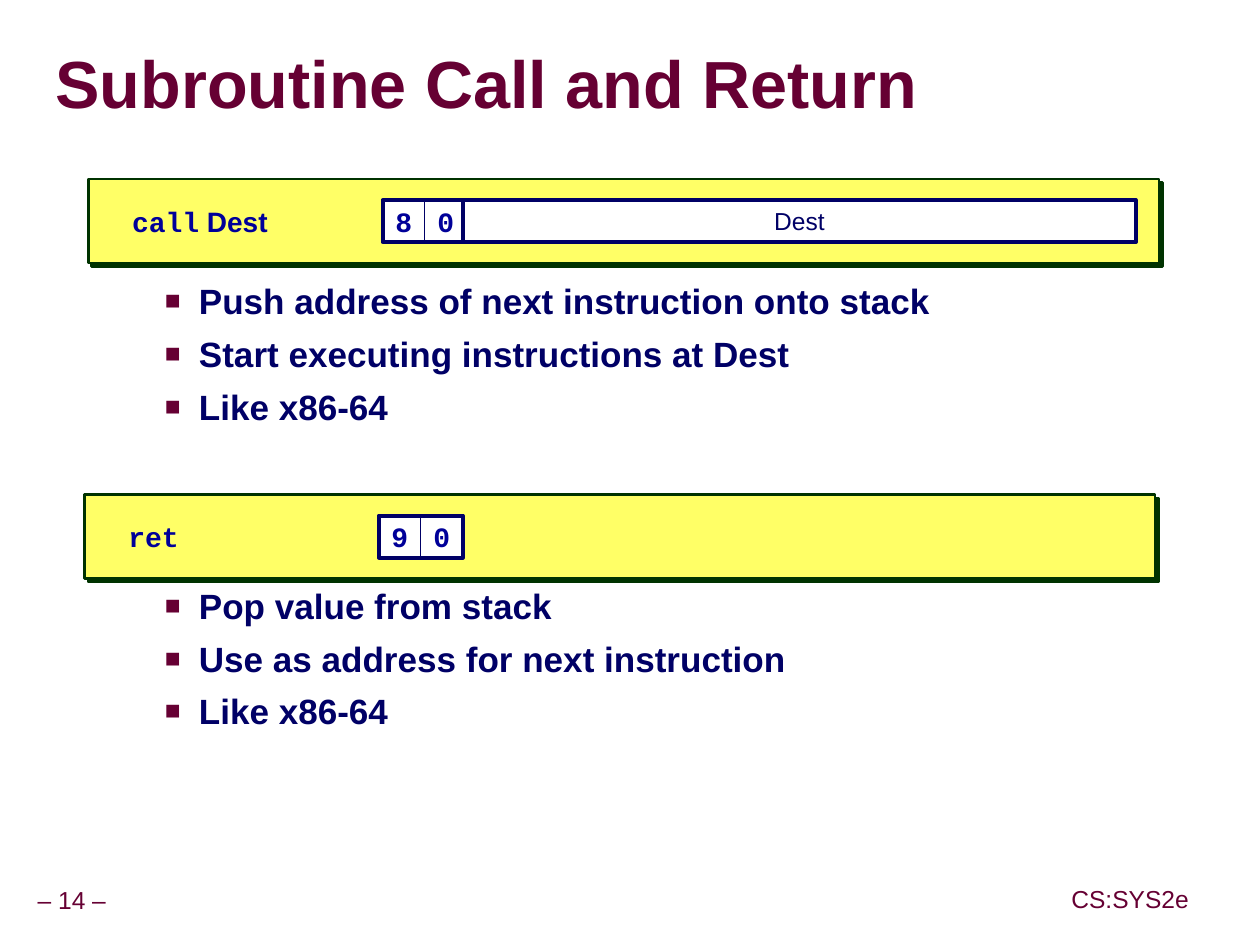
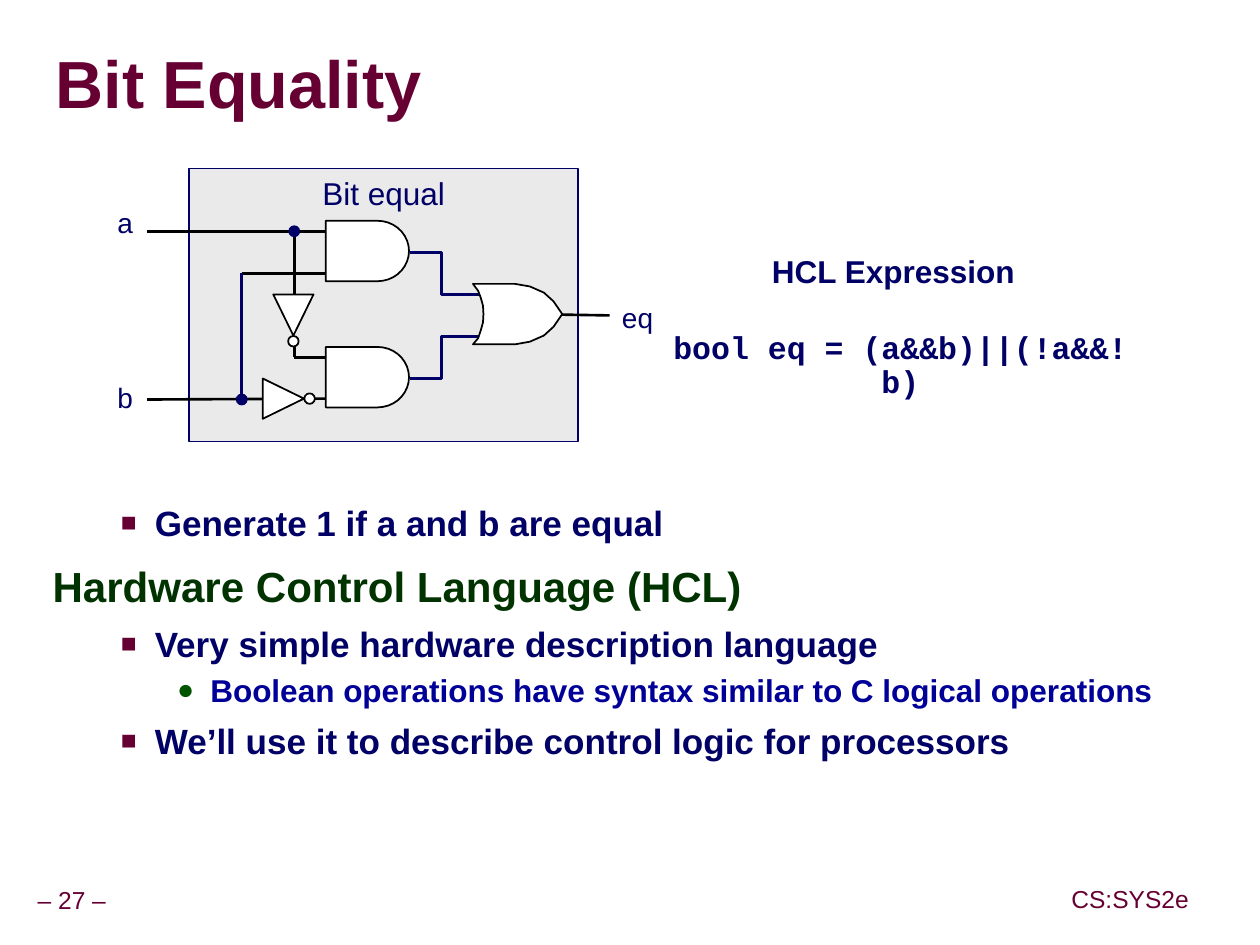
import math

import pptx
import pptx.dml.color
import pptx.enum.shapes
import pptx.enum.text
import pptx.oxml
import pptx.oxml.ns
import pptx.util

Pt = pptx.util.Pt
ALIGN = pptx.enum.text.PP_ALIGN
ANCHOR = pptx.enum.text.MSO_ANCHOR
SHAPE = pptx.enum.shapes.MSO_SHAPE
qn = pptx.oxml.ns.qn

NAVY, BLUE, MAROON, GREEN = "000066", "000099", "660033", "003300"
BLACK, WHITE, YELLOW, GRAY = "000000", "FFFFFF", "FFFF66", "EAEAEA"
SANS = {"name": "Arial", "size": Pt(16), "bold": False}
CODE = {"name": "Courier New", "size": Pt(16), "bold": True}
INSETS = ("margin_left", "margin_top", "margin_right", "margin_bottom")
LEVELS = [
    {"size": 24, "color": GREEN, "indent": (30, -30), "before": 12, "spacing": 0.95, "bullet": None},
    {"size": 20, "color": NAVY, "indent": (58.3, -19.4), "before": 6, "spacing": 1.0,
     "bullet": ("■", MAROON, 75)},
    {"size": 18, "color": BLUE, "indent": (90, -19), "before": 2, "spacing": 1.07,
     "bullet": ("●", "005400", 90)},
]
OR_OUTLINE = [(0, 0), (24, 0), (32.5, 1.5), (40.5, 5), (46, 10), (51, 17.25), (46, 24.5),
              (40.5, 29.5), (32.5, 33), (24, 34.5), (0, 34.5), (3, 31), (4.5, 26.5),
              (5.75, 22), (6, 17.25), (5.75, 12.5), (4.5, 8), (3, 4)]


def rgb(color):
    """Turn a hex string into a colour."""
    return pptx.dml.color.RGBColor.from_string(color)


def set_all(obj, values):
    """Set attributes of an object from a dict."""
    for name, value in values.items():
        setattr(obj, name, value)


def add_xml(parent, tag, body="", **attrs):
    """Append a drawing element with the given attributes."""
    pairs = " ".join(f'{k}="{v}"' for k, v in attrs.items())
    ns = pptx.oxml.ns.nsdecls("a")
    parent.append(pptx.oxml.parse_xml(f"<a:{tag} {ns} {pairs}>{body}</a:{tag}>"))


def add_run(p, text, font, color):
    """Add a formatted run to a paragraph."""
    r = p.add_run()
    r.text = text
    set_all(r.font, font)
    r.font.color.rgb = rgb(color)
    return r


def write(sp, runs, color, align=ALIGN.LEFT, anchor=ANCHOR.TOP, wrap=False, inset=None, spacing=1.0):
    """Write one paragraph of (text, font) runs into a shape."""
    tf = sp.text_frame
    set_all(tf, {"word_wrap": wrap, "vertical_anchor": anchor})
    if inset is not None:
        set_all(tf, dict.fromkeys(INSETS, Pt(inset)))
    p = tf.paragraphs[0]
    set_all(p, {"alignment": align, "line_spacing": spacing})
    return [add_run(p, text, font, color) for text, font in runs]


def add_text(slide, box, runs, color, **layout):
    """Add a text box with one paragraph."""
    sp = slide.shapes.add_textbox(*map(Pt, box))
    write(sp, runs, color, **layout)


def paint(sp, fill, line, width):
    """Set fill and line of a shape and drop its shadow."""
    sp.shadow.inherit = False
    if fill:
        sp.fill.solid()
        sp.fill.fore_color.rgb = rgb(fill)
    else:
        sp.fill.background()
    sp.line.color.rgb = rgb(line)
    sp.line.width = Pt(width)


def add_box(slide, box, fill, line, width, kind=SHAPE.RECTANGLE):
    """Add a preset shape."""
    sp = slide.shapes.add_shape(kind, *map(Pt, box))
    paint(sp, fill, line, width)
    return sp


def add_outline(slide, points, fill=WHITE, line=BLACK, width=1.0, close=True):
    """Add a freeform through points."""
    emu = [(Pt(x), Pt(y)) for x, y in points]
    builder = slide.shapes.build_freeform(*emu[0], scale=1.0)
    builder.add_line_segments(emu[1:], close=close)
    paint(builder.convert_to_shape(), fill, line, width)


def add_wire(slide, x1, y1, x2, y2, color=BLACK):
    """Add a straight wire."""
    sp = slide.shapes.add_connector(pptx.enum.shapes.MSO_CONNECTOR.STRAIGHT, *map(Pt, (x1, y1, x2, y2)))
    sp.line.color.rgb = rgb(color)
    sp.line.width = Pt(1.5)
    add_xml(sp._element.spPr, "effectLst")


def add_circle(slide, x, y, fill, line, width):
    """Add a small circle around a centre."""
    add_box(slide, (x - 3, y - 3, 6, 6), fill, line, width, SHAPE.OVAL)


def add_and_gate(slide, x, y):
    """Add an AND gate with its top left corner at x, y."""
    angles = [math.radians(a) for a in range(-90, 91, 10)]
    arc = [(x + 29.5 + 18 * math.cos(a), y + 17.25 + 17.25 * math.sin(a)) for a in angles]
    add_outline(slide, [(x, y), *arc, (x, y + 34.5)])


def add_inverter(slide, x, y, down=False):
    """Add an inverter whose base is centred at x, y."""
    def place(along, across):
        return (x + across, y + along) if down else (x + along, y + across)

    add_outline(slide, [place(0, -11.5), place(23.5, 0), place(0, 11.5)])
    add_circle(slide, *place(26.75, 0), WHITE, BLACK, 1)


def add_bullets(slide, box, items):
    """Add an outline of (level, text) items."""
    tf = slide.shapes.add_textbox(*map(Pt, box)).text_frame
    tf.word_wrap = True
    for i, (level, text) in enumerate(items):
        style = LEVELS[level]
        p = tf.add_paragraph() if i else tf.paragraphs[0]
        set_all(p, {"level": level, "space_before": Pt(style["before"]), "line_spacing": style["spacing"]})
        pPr = p._p.get_or_add_pPr()
        for name, value in zip(("marL", "indent"), style["indent"]):
            pPr.set(name, str(Pt(value)))
        if style["bullet"]:
            char, color, percent = style["bullet"]
            add_xml(pPr, "buClr", f'<a:srgbClr val="{color}"/>')
            add_xml(pPr, "buSzPct", val=percent * 1000)
            add_xml(pPr, "buFont", typeface="Arial")
            add_xml(pPr, "buChar", char=char)
        add_run(p, text, {"name": "Arial", "size": Pt(style["size"]), "bold": True}, style["color"])


def add_slide(prs, title, number):
    """Add a slide with the shared title and footers."""
    slide = prs.slides.add_slide(prs.slide_layouts[5])
    sp = slide.shapes.title
    set_all(sp, {"left": Pt(31.7), "top": Pt(19.4), "width": Pt(685.4), "height": Pt(61.2)})
    font = {"name": "Arial", "size": Pt(38), "bold": True}
    r, = write(sp, [(title, font)], MAROON, anchor=ANCHOR.MIDDLE, wrap=True, inset=0, spacing=0.87)
    shadow = '<a:outerShdw dist="38100" dir="2700000"><a:srgbClr val="999999"/></a:outerShdw>'
    r.font.fill._xPr.find(qn("a:solidFill")).addnext(
        pptx.oxml.parse_xml(f'<a:effectLst {pptx.oxml.ns.nsdecls("a")}>{shadow}</a:effectLst>'))
    for box, text in [((17.3, 503.3, 47.5, 22.3), f"– {number} –"), ((607.7, 502.6, 75, 22.3), "CS:SYS2e")]:
        add_text(slide, box, [(text, {**SANS, "size": Pt(14)})], MAROON, align=ALIGN.CENTER,
                 anchor=ANCHOR.MIDDLE, inset=3.6, spacing=0.9)
    return slide


def add_instruction(slide, x, y, label, digits, operand=None):
    """Add a yellow bar with an instruction and its encoding."""
    middle = {"align": ALIGN.CENTER, "anchor": ANCHOR.MIDDLE}
    bar = add_box(slide, (x, y, 611.3, 48), YELLOW, GREEN, 1.5)
    add_xml(bar._element.spPr.find(qn("a:effectLst")), "outerShdw", f'<a:srgbClr val="{GREEN}"/>',
            blurRad=0, dist=Pt(2.8), dir=2700000, algn="ctr", rotWithShape=0)
    add_text(slide, (x + 18, y + 12, 150, 24), label, BLUE, anchor=ANCHOR.MIDDLE)
    for i, digit in enumerate(digits):
        cell = add_box(slide, (x + 168 + 24 * i, y + 12, 24, 24), WHITE, NAVY, 0.5)
        write(cell, [(digit, CODE)], BLUE, **middle)
    add_box(slide, (x + 168, y + 12, 24 * len(digits), 24), None, NAVY, 2.25)
    if operand:
        sp = add_box(slide, (x + 214, y + 12, 384, 24), WHITE, NAVY, 2.25)
        write(sp, [(operand, {**SANS, "size": Pt(14)})], NAVY, **middle)


def build_call_slide(prs):
    """Build the slide on call and return."""
    slide = add_slide(prs, "Subroutine Call and Return", 14)
    add_bullets(slide, (48.2, 156.2, 606, 100), [
        (1, "Push address of next instruction onto stack"),
        (1, "Start executing instructions at Dest"),
        (1, "Like x86-64")])
    add_bullets(slide, (48.2, 330, 606, 100), [
        (1, "Pop value from stack"),
        (1, "Use as address for next instruction"),
        (1, "Like x86-64")])
    add_instruction(slide, 50.4, 102.2, [("call", CODE), (" Dest", {**CODE, "name": "Arial"})], "80", "Dest")
    add_instruction(slide, 48.2, 282.2, [("ret", CODE)], "90")


def add_circuit(slide):
    """Draw the bit equality circuit."""
    frame = add_box(slide, (108, 96, 222, 156), GRAY, NAVY, 0.75)
    write(frame, [("Bit equal", {**SANS, "size": Pt(18)})], NAVY, align=ALIGN.CENTER)
    for y, step in [(144, 24), (216, -24)]:
        add_outline(slide, [(234, y), (252, y), (252, y + step), (276, y + step)], None, NAVY, 1.5, False)
    for wire in [(84, 132, 186, 132), (168, 132, 168, 168), (138, 156, 186, 156),
                 (84, 228, 186, 227.5), (168, 192, 168, 204), (168, 204, 186, 204),
                 (317, 179.5, 348, 180)]:
        add_wire(slide, *wire)
    add_wire(slide, 138, 228, 138, 156, NAVY)
    add_and_gate(slide, 186, 126)
    add_and_gate(slide, 186, 198)
    add_outline(slide, [(270 + x, 162 + y) for x, y in OR_OUTLINE])
    add_inverter(slide, 167.5, 168, down=True)
    add_inverter(slide, 150, 227.5)
    for x, y in [(168, 132), (138, 228)]:
        add_circle(slide, x, y, NAVY, NAVY, 0.75)
    for x, y, width, text, align in [(60, 114, 23, "a", ALIGN.RIGHT), (60, 213.5, 23, "b", ALIGN.RIGHT),
                                     (348, 168, 47.5, "eq", ALIGN.LEFT)]:
        add_text(slide, (x, y, width, 26.6), [(text, SANS)], NAVY, align=align)


def build_equality_slide(prs):
    """Build the slide on bit equality."""
    slide = add_slide(prs, "Bit Equality", 27)
    add_bullets(slide, (23, 282.5, 653, 224), [
        (1, "Generate 1 if a and b are equal"),
        (0, "Hardware Control Language (HCL)"),
        (1, "Very simple hardware description language"),
        (2, "Boolean operations have syntax similar to C logical operations"),
        (1, "We’ll use it to describe control logic for processors")])
    add_circuit(slide)
    for box, text, name in [((380, 186, 268, 46), "bool eq = (a&&b)||(!a&&!b)", "Courier New"),
                            ((437, 142.6, 146, 26.6), "HCL Expression", "Arial")]:
        add_text(slide, box, [(text, {"name": name, "size": Pt(18), "bold": True})], NAVY,
                 align=ALIGN.CENTER, wrap=True, inset=3.6, spacing=0.9)


def main():
    """Build and save the presentation."""
    prs = pptx.Presentation()
    set_all(prs, {"slide_width": Pt(719.28), "slide_height": Pt(539.28)})
    build_call_slide(prs)
    build_equality_slide(prs)
    prs.save("out.pptx")


main()
